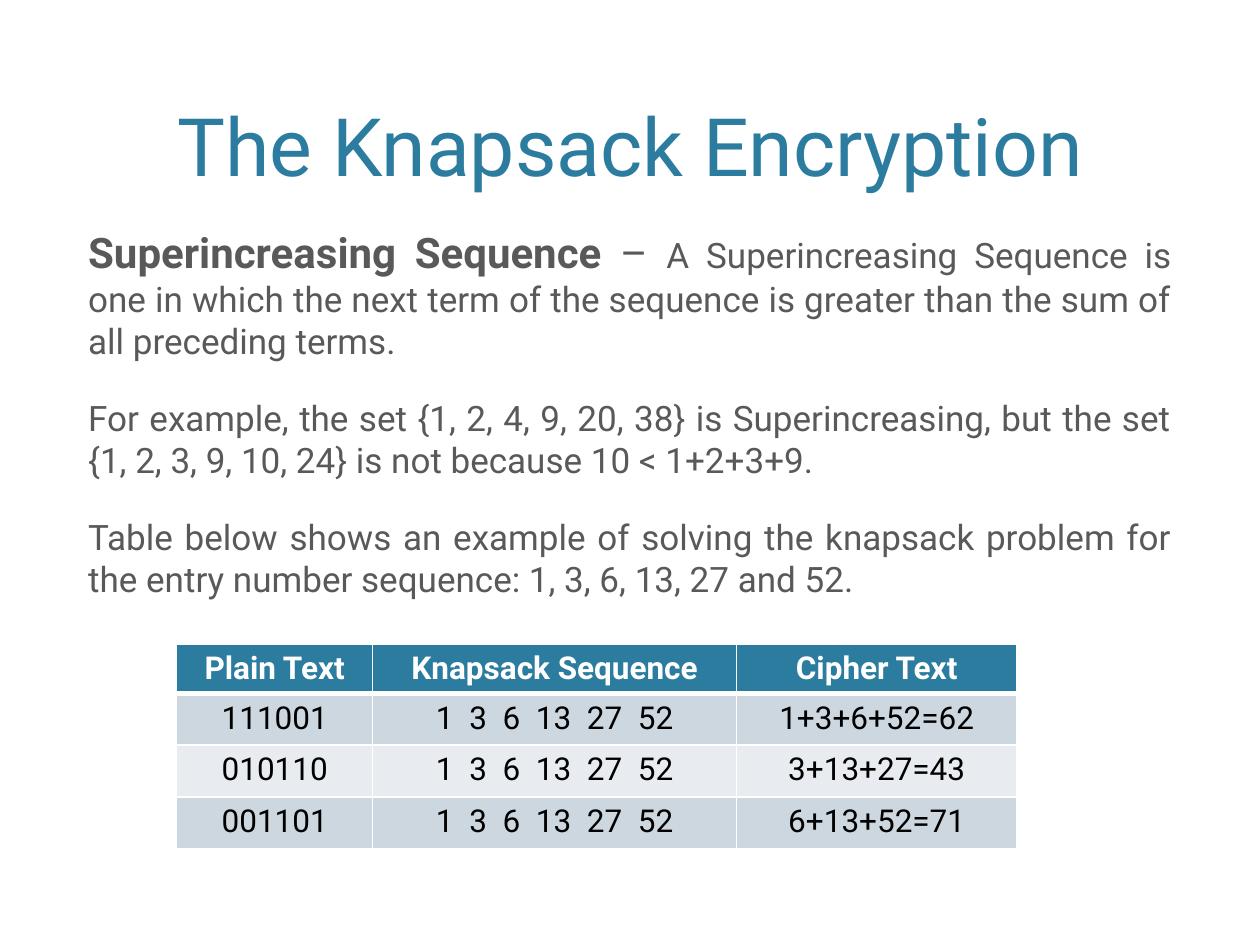
from pptx import Presentation
from pptx import util as u
from pptx.dml import color
from pptx.enum import text
from pptx.oxml import xmlchemy
from lxml import etree

FONT = "Roboto"
COLORS = {"teal": "2C7C9F", "grey": "595959", "white": "FFFFFF",
          "black": "000000", "odd": "CDD7DF", "even": "E8ECF0"}
NS = "http://schemas.openxmlformats.org/drawingml/2006/main"


def rgb(name):
    return color.RGBColor.from_string(COLORS[name])


def style(run, size, shade, bold=False):
    run.font.name = FONT
    run.font.size = u.Pt(size)
    run.font.bold = bold
    run.font.color.rgb = rgb(shade)


def place(holder, box, anchor):
    holder.left, holder.top, holder.width, holder.height = map(u.Pt, box)
    frame = holder.text_frame
    frame.word_wrap = True
    frame.auto_size = text.MSO_AUTO_SIZE.NONE
    frame.vertical_anchor = anchor
    return frame


def heading(holder, box, words):
    frame = place(holder, box, text.MSO_ANCHOR.BOTTOM)
    frame.text = words
    line = frame.paragraphs[0]
    line.alignment = text.PP_ALIGN.CENTER
    style(line.runs[0], 46, "teal")


def explanation(holder, box, passages):
    frame = place(holder, box, text.MSO_ANCHOR.TOP)
    for index, passage in enumerate(passages):
        paragraph = frame.paragraphs[0] if index == 0 else frame.add_paragraph()
        paragraph.alignment = text.PP_ALIGN.JUSTIFY
        paragraph.space_before = u.Pt(20)
        properties = paragraph._p.get_or_add_pPr()
        properties.set("marL", "0")
        properties.set("indent", "0")
        etree.SubElement(properties, f"{{{NS}}}buNone")
        for words, size, bold in passage:
            run = paragraph.add_run()
            run.text = words
            style(run, size, "grey", bold)


def border(cell, bottom):
    properties = cell._tc.get_or_add_tcPr()
    for index, side in enumerate(("lnL", "lnR", "lnT", "lnB")):
        width = bottom if side == "lnB" else 1
        edge = etree.Element(f"{{{NS}}}{side}", w=str(u.Pt(width)))
        fill = etree.SubElement(edge, f"{{{NS}}}solidFill")
        etree.SubElement(fill, f"{{{NS}}}srgbClr", val=COLORS["white"])
        properties.insert(index, edge)


def cipher_table(slide, box, widths, heights, rows):
    table = slide.shapes.add_table(len(rows), len(widths), *map(u.Pt, box)).table
    for column, width in zip(table.columns, widths):
        column.width = u.Pt(width)
    for r, (entries, height) in enumerate(zip(rows, heights)):
        table.rows[r].height = u.Pt(height)
        header = r == 0
        band = "teal" if header else "odd" if r % 2 else "even"
        for c, entry in enumerate(entries):
            cell = table.cell(r, c)
            cell.text = entry
            cell.fill.solid()
            cell.fill.fore_color.rgb = rgb(band)
            border(cell, 3 if header else 1)
            line = cell.text_frame.paragraphs[0]
            line.alignment = text.PP_ALIGN.CENTER
            style(line.runs[0], 18, "white" if header else "black", header)


def knapsack_slide(deck):
    slide = deck.slides.add_slide(deck.slide_layouts[1])
    slide.background.fill.solid()
    slide.background.fill.fore_color.rgb = rgb("white")
    heading(slide.shapes.title, (43.2, 8.64, 633.6, 105.12), "The Knapsack Encryption")
    explanation(slide.placeholders[1], (43.2, 126, 633.6, 383), [
        [("Superincreasing Sequence", 24, True), (" – ", 24, False),
         ("A Superincreasing Sequence is one in which the next term of the "
          "sequence is greater than the sum of all preceding terms. ", 20, False)],
        [("For example, the set {1, 2, 4, 9, 20, 38} is Superincreasing, but the "
          "set {1, 2, 3, 9, 10, 24} is not because 10 < 1+2+3+9. ", 20, False)],
        [("Table below shows an example of solving the knapsack problem for the "
          "entry number sequence: 1, 3, 6, 13, 27 and 52.", 20, False)],
    ])
    sequence = "1  3  6  13  27  52"
    cipher_table(slide, (101, 368, 480, 116.5), (112, 208, 160), (28, 29.5, 29.5, 29.5), [
        ("Plain Text", "Knapsack Sequence", "Cipher Text"),
        ("111001", sequence, "1+3+6+52=62"),
        ("010110", sequence, "3+13+27=43"),
        ("001101", sequence, "6+13+52=71"),
    ])


deck = Presentation()
deck.slide_width, deck.slide_height = u.Pt(720), u.Pt(540)
knapsack_slide(deck)
deck.save("out.pptx")
